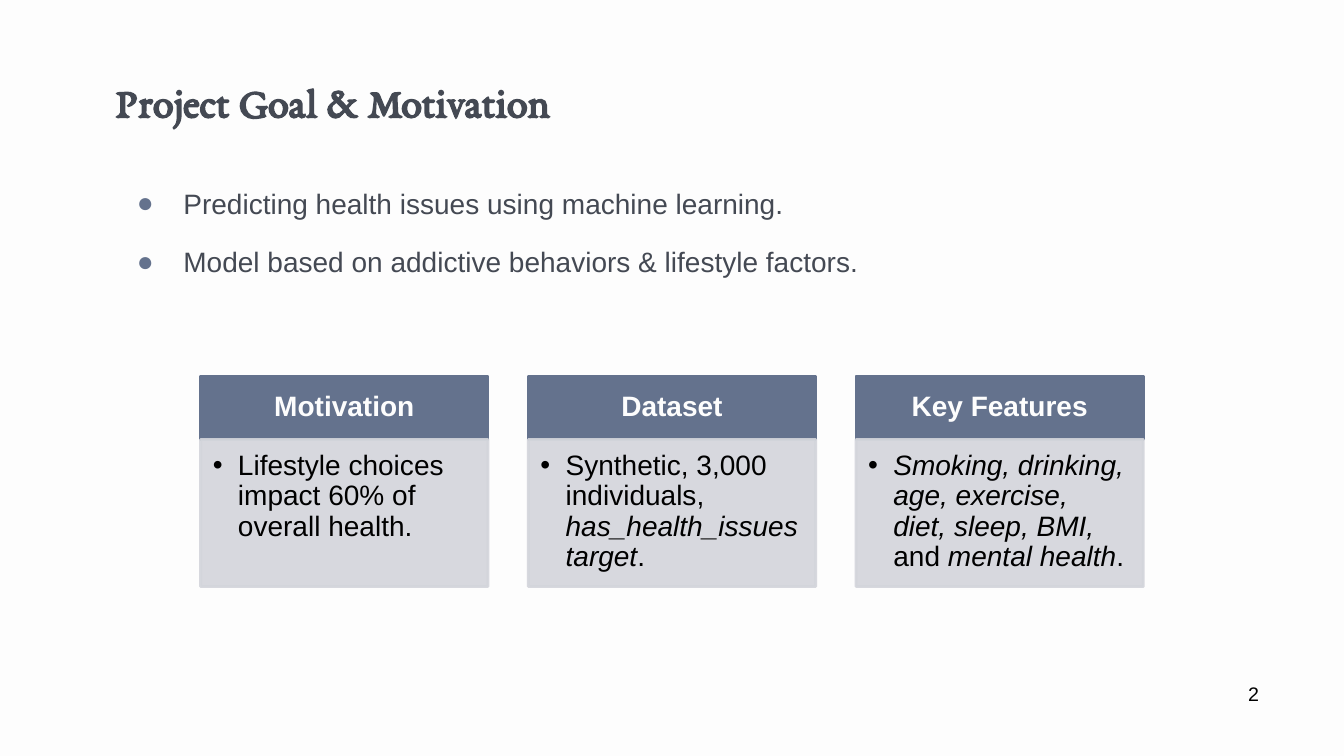
from lxml import etree
from pptx import Presentation
from pptx import util as u
from pptx.dml.color import RGBColor
from pptx.enum import shapes, text
from pptx.oxml import ns

PX = 9144
BACKGROUND = RGBColor(0xFD, 0xFD, 0xFD)
INK = RGBColor(0x44, 0x49, 0x53)
SLATE = RGBColor(0x64, 0x72, 0x8D)
PALE = RGBColor(0xD3, 0xD5, 0xDB)
BLACK = RGBColor(0, 0, 0)

GOALS = [
    "Predicting health issues using machine learning.",
    "Model based on addictive behaviors & lifestyle factors.",
]
CARDS = [
    ("Motivation", [("Lifestyle choices impact 60% of overall health.", False)]),
    ("Dataset", [
        ("Synthetic, 3,000 individuals, ", False),
        ("has_health_issues target", True),
        (".", False),
    ]),
    ("Key Features", [
        ("Smoking, drinking, age, exercise, diet, sleep, BMI, ", True),
        ("and", False),
        (" mental health", True),
        (".", False),
    ]),
]


def px(n):
    return u.Emu(n * PX)


def add_bullet(p, char, color, left, hang):
    pPr = p._p.get_or_add_pPr()
    pPr.set("marL", str(px(left)))
    pPr.set("indent", str(px(-hang)))
    clr = etree.SubElement(pPr, ns.qn("a:buClr"))
    etree.SubElement(clr, ns.qn("a:srgbClr"), val=str(color))
    etree.SubElement(pPr, ns.qn("a:buFont"), typeface="Arial")
    etree.SubElement(pPr, ns.qn("a:buChar"), char=char)


def write(sp, paragraphs, size=20, font="Arial", color=BLACK, bold=False,
          align=text.PP_ALIGN.LEFT, anchor=text.MSO_ANCHOR.TOP,
          insets=(10, 10, 10, 10), spacing=None, after=None, bullet=None,
          wrap=True, fit=text.MSO_AUTO_SIZE.NONE):
    tf = sp.text_frame
    tf.word_wrap = wrap
    tf.auto_size = fit
    tf.vertical_anchor = anchor
    tf.margin_left, tf.margin_top, tf.margin_right, tf.margin_bottom = map(px, insets)
    for i, runs in enumerate(paragraphs):
        p = tf.add_paragraph() if i else tf.paragraphs[0]
        if bullet:
            add_bullet(p, *bullet)
        p.alignment = align
        p.line_spacing = spacing
        p.space_after = after
        for words, italic in runs:
            r = p.add_run()
            r.text = words
            r.font.name = font
            r.font.size = u.Pt(size)
            r.font.bold = bold
            r.font.italic = italic
            r.font.color.rgb = color


def add_text(s, box, paragraphs, **fmt):
    write(s.shapes.add_textbox(*map(px, box)), paragraphs, **fmt)


def add_panel(s, box, color, opacity=100):
    sp = s.shapes.add_shape(shapes.MSO_SHAPE.RECTANGLE, *map(px, box))
    sp.shadow.inherit = False
    sp.fill.solid()
    sp.fill.fore_color.rgb = color
    sp.line.color.rgb = color
    sp.line.width = u.Pt(2)
    if opacity < 100:
        for clr in sp._element.spPr.iter(ns.qn("a:srgbClr")):
            etree.SubElement(clr, ns.qn("a:alpha"), val=str(opacity * 1000))
    return sp


def add_card(s, left, heading, runs):
    head = add_panel(s, (left, 373, 285, 63), SLATE)
    write(head, [[(heading, False)]], color=BACKGROUND, bold=True,
          align=text.PP_ALIGN.CENTER, anchor=text.MSO_ANCHOR.MIDDLE,
          insets=(16, 9, 16, 9), spacing=0.9)
    body = add_panel(s, (left, 436, 285, 146), PALE, opacity=90)
    write(body, [runs], insets=(12, 12, 16, 17), spacing=0.9,
          bullet=("•", BLACK, 25, 25))


def main():
    prs = Presentation()
    prs.slide_width, prs.slide_height = u.Inches(13.33), u.Inches(7.5)
    s = prs.slides.add_slide(prs.slide_layouts[6])
    s.background.fill.solid()
    s.background.fill.fore_color.rgb = BACKGROUND

    add_text(s, (105, 65, 1123, 84), [[("Project Goal & Motivation", False)]],
             size=30, font="EB Garamond", color=INK, bold=True)
    add_text(s, (105, 158, 1037, 514), [[(goal, False)] for goal in GOALS],
             color=INK, spacing=1.5, after=u.Pt(6), bullet=("●", SLATE, 67, 46))
    for i, (heading, runs) in enumerate(CARDS):
        add_card(s, 199 + i * 325, heading, runs)
    add_text(s, (1228, 672, 31, 34), [[("2", False)]], size=14,
             insets=(10, 5, 10, 5), wrap=False,
             fit=text.MSO_AUTO_SIZE.SHAPE_TO_FIT_TEXT)
    prs.save("out.pptx")


if __name__ == "__main__":
    main()
